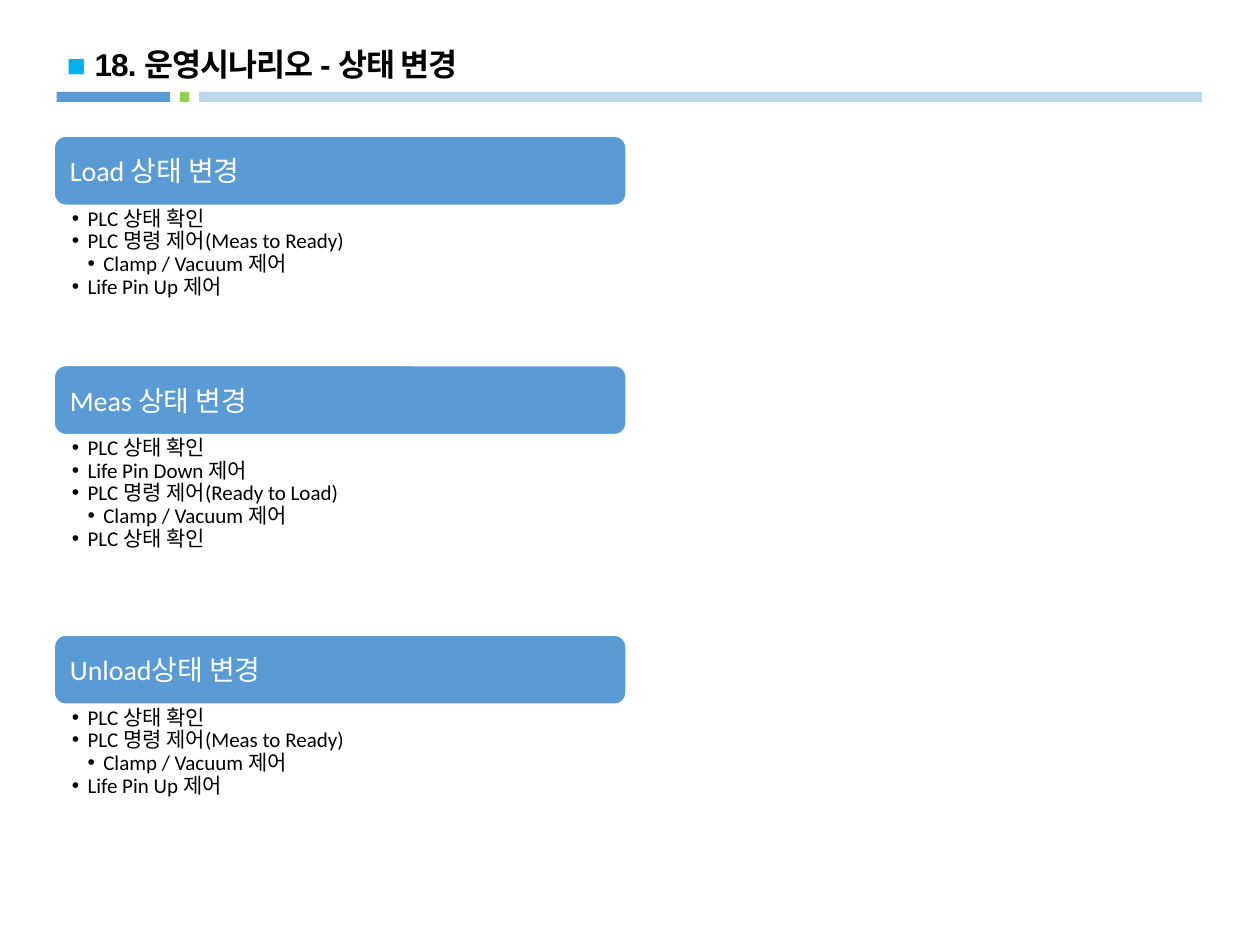
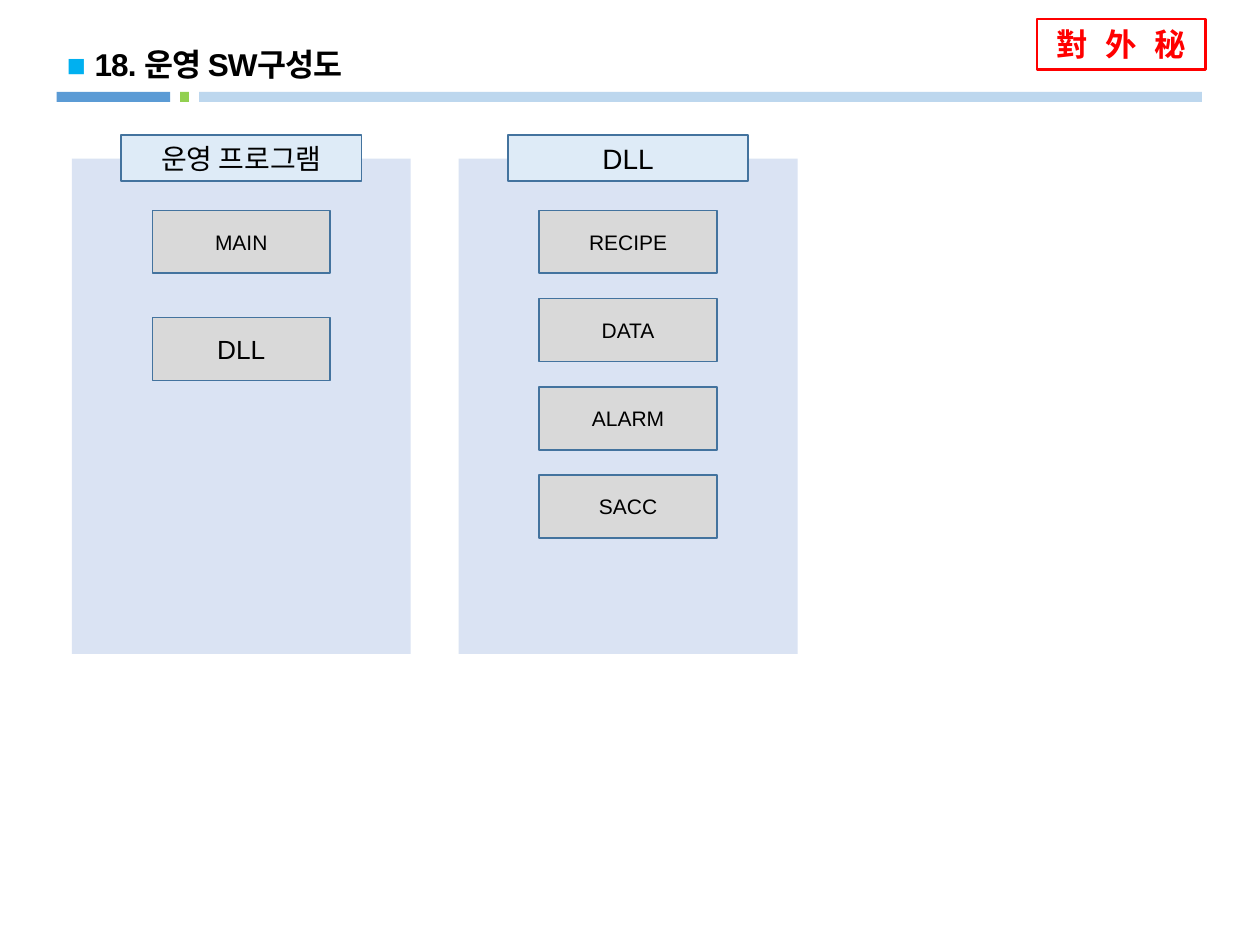
from lxml.etree import SubElement
from pptx import Presentation
from pptx.dml.color import RGBColor
from pptx.enum.shapes import MSO_SHAPE as SHAPE
from pptx.enum.text import MSO_ANCHOR as ANCHOR, MSO_AUTO_SIZE as FIT, PP_ALIGN as ALIGN
from pptx.oxml.ns import qn
from pptx.util import Inches, Pt

STATES = [  # heading, [(level, text)]
    ("Load 상태 변경", [
        (1, "PLC 상태 확인"),
        (1, "PLC 명령 제어(Meas to Ready)"),
        (2, "Clamp / Vacuum 제어"),
        (1, "Life Pin Up 제어")]),
    ("Meas 상태 변경", [
        (1, "PLC 상태 확인"),
        (1, "Life Pin Down 제어"),
        (1, "PLC 명령 제어(Ready to Load)"),
        (2, "Clamp / Vacuum 제어"),
        (1, "PLC 상태 확인")]),
    ("Unload상태 변경", [
        (1, "PLC 상태 확인"),
        (1, "PLC 명령 제어(Meas to Ready)"),
        (2, "Clamp / Vacuum 제어"),
        (1, "Life Pin Up 제어")]),
]
PANELS = [  # heading, row pitch, [(module, text size)]
    ("운영 프로그램", 0.85, [("MAIN", 12), ("DLL", 15)]),
    ("DLL", 0.7, [("RECIPE", 12), ("DATA", 12), ("ALARM", 12), ("SACC", 12)]),
]
BANDS = [(1.58, 7.96, "BDD7EE"), (0.45, 0.9, "5B9BD5"), (1.43, 0.07, "92D050")]

LEFT = 0.43
BLUE, EDGE, BLACK, RED = "5B9BD5", "43739E", "000000", "FF0000"
ASIAN_FONT = "Noto Sans CJK KR"


def rgb(color):
    return RGBColor.from_string(color)


def write(p, text, size=12, color=BLACK, font="Arial", bold=False, spacing=0):
    r = p.add_run()
    r.text = text
    f = r.font
    f.size, f.name, f.bold = Pt(size), font, bold
    f.color.rgb = rgb(color)
    rPr = r._r.get_or_add_rPr()
    SubElement(rPr, qn("a:ea")).set("typeface", ASIAN_FONT)
    if spacing:
        rPr.set("spc", str(int(spacing * 100)))


def place(sp, x, y, w, h):
    sp.left, sp.top, sp.width, sp.height = map(Inches, (x, y, w, h))


def set_frame(tf, anchor, margins):
    tf.word_wrap, tf.auto_size, tf.vertical_anchor = True, FIT.NONE, anchor
    tf.margin_left, tf.margin_top, tf.margin_right, tf.margin_bottom = map(Inches, margins)


def add_box(slide, x, y, w, h, fill=None, line=None, line_width=1, text=None,
            shape=SHAPE.RECTANGLE, align=ALIGN.CENTER, margin=0.1, **style):
    sp = slide.shapes.add_shape(shape, *map(Inches, (x, y, w, h)))
    sp.shadow.inherit = False
    if fill:
        sp.fill.solid()
        sp.fill.fore_color.rgb = rgb(fill)
    else:
        sp.fill.background()
    if line:
        sp.line.color.rgb = rgb(line)
        sp.line.width = Pt(line_width)
    else:
        sp.line.fill.background()
    if text:
        set_frame(sp.text_frame, ANCHOR.MIDDLE, (margin, 0, margin, 0))
        p = sp.text_frame.paragraphs[0]
        p.alignment = align
        write(p, text, **style)


def new_slide(prs, layout, title):
    slide = prs.slides.add_slide(prs.slide_layouts.get_by_name(layout))
    for x, w, color in BANDS:
        add_box(slide, x, 0.73, w, 0.08, color)
    sp = slide.shapes.title
    place(sp, LEFT, 0.28, 7.17, 0.43)
    set_frame(sp.text_frame, ANCHOR.TOP, (0.1, 0.05, 0.1, 0.05))
    p = sp.text_frame.paragraphs[0]
    p.alignment, p.line_spacing = ALIGN.LEFT, 1.1
    write(p, "■ ", size=18, color="00B0F0", bold=True)
    write(p, title, size=18, bold=True, spacing=-0.5)
    return slide


def fill_list(sp, items):
    tf = sp.text_frame
    set_frame(tf, ANCHOR.TOP, (0.14, 0.02, 0.12, 0.02))
    for i, (level, text) in enumerate(items):
        p = tf.add_paragraph() if i else tf.paragraphs[0]
        p.level, p.line_spacing = level, 0.9
        p.space_before = p.space_after = Pt(0)
        pPr = p._p.get_or_add_pPr()
        pPr.set("marL", str(Inches(0.125 * level)))
        pPr.set("indent", str(Inches(-0.125)))
        SubElement(pPr, qn("a:buChar")).set("char", "•")
        write(p, text, font="Calibri")


def state_slide(prs):
    slide = new_slide(prs, "Comparison", "18. 운영시나리오 - 상태 변경")
    bodies = list(slide.placeholders)[1:]
    width, head_h, y = 4.54, 0.55, 1.08
    for (heading, items), body in zip(STATES, bodies):
        list_h = 1.27 + 0.32 * (len(items) - 4)
        add_box(slide, LEFT, y, width, head_h, BLUE, "FFFFFF", text=heading,
                shape=SHAPE.ROUNDED_RECTANGLE, align=ALIGN.LEFT,
                size=16, color="FFFFFF", font="Calibri")
        place(body, LEFT, y + head_h, width, list_h)
        fill_list(body, items)
        y += head_h + list_h
    for body in bodies[len(STATES):]:
        body._element.getparent().remove(body._element)


def structure_slide(prs):
    slide = new_slide(prs, "Title Only", "18. 운영 SW구성도")
    add_box(slide, 8.23, 0.15, 1.34, 0.4, line=RED, line_width=1.5, text="對 外 秘",
            margin=0, size=18, color=RED, font=ASIAN_FONT, bold=True, spacing=3)
    for col, (heading, pitch, modules) in enumerate(PANELS):
        x = 0.57 + 3.07 * col
        add_box(slide, x, 1.26, 2.69, 3.93, "DAE3F3")
        add_box(slide, x + 0.39, 1.07, 1.91, 0.37, "DEEBF7", EDGE, text=heading, size=16)
        for row, (module, size) in enumerate(modules):
            add_box(slide, x + 0.64, 1.67 + pitch * row, 1.41, 0.5, "D9D9D9", EDGE,
                    text=module, size=size)


def main():
    prs = Presentation()
    prs.slide_width, prs.slide_height = Inches(10), Inches(7.5)
    state_slide(prs)
    structure_slide(prs)
    prs.save("out.pptx")


if __name__ == "__main__":
    main()
